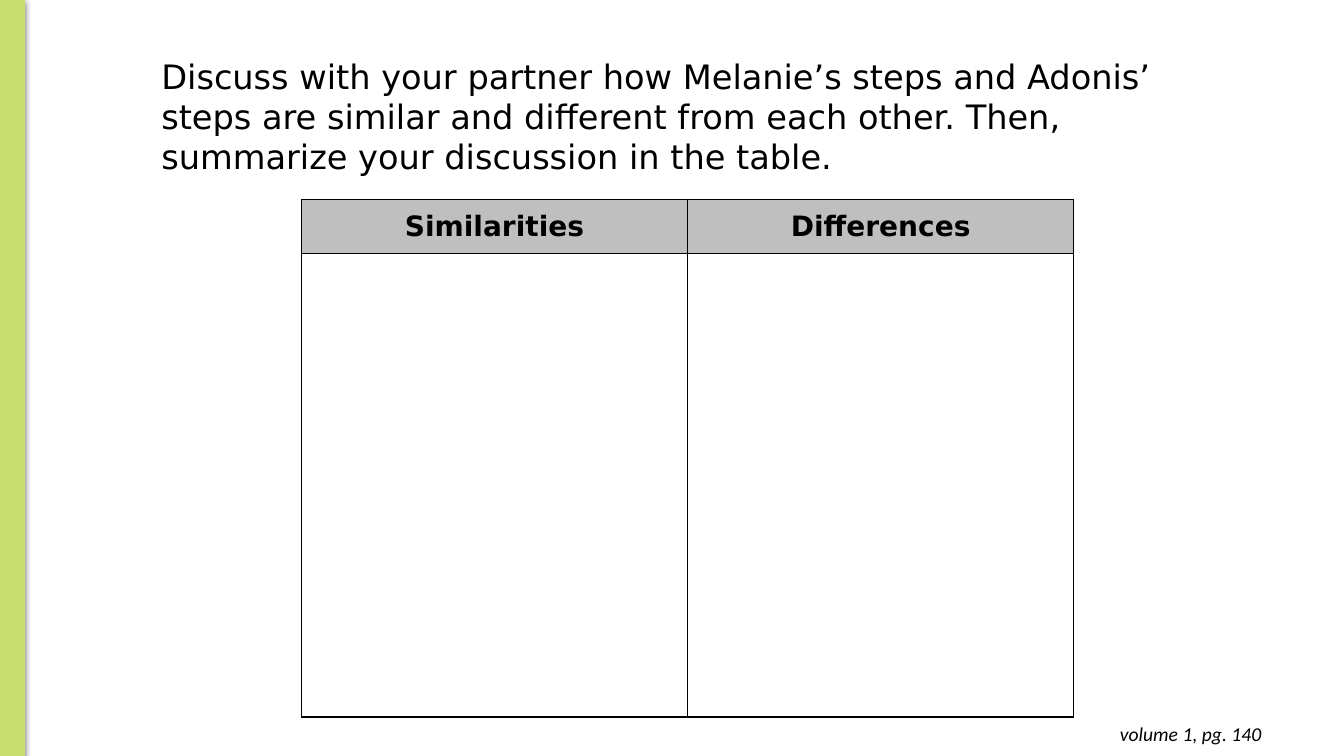
from lxml.etree import SubElement
from pptx import Presentation
from pptx.dml.color import RGBColor
from pptx.enum.shapes import MSO_SHAPE
from pptx.enum.text import MSO_ANCHOR, MSO_AUTO_SIZE, PP_ALIGN
from pptx.oxml.ns import qn
from pptx.util import Inches, Pt

COLORS = {"bar": "C9DF6F", "header": "BFBFBF", "cell": "FFFFFF", "ink": "000000"}
HEADINGS = ["Similarities", "Differences"]
PROMPT = (
    "Discuss with your partner how Melanie’s steps and Adonis’ steps are similar "
    "and different from each other. Then, summarize your discussion in the table."
)


def color(name):
    return RGBColor.from_string(COLORS[name])


def place(shape, left, top, width, height):
    shape.left, shape.top = Inches(left), Inches(top)
    shape.width, shape.height = Inches(width), Inches(height)


def format_paragraph(paragraph, font_name, size, alignment, bold=False, italic=False):
    paragraph.alignment = alignment
    font = paragraph.font
    font.name, font.size = font_name, Pt(size)
    font.bold, font.italic = bold, italic
    font.color.rgb = color("ink")


def set_margins(target, margin):
    target.margin_left = target.margin_right = Inches(margin)
    target.margin_top = target.margin_bottom = Inches(margin)


def add_side_bar(slide):
    bar = slide.shapes.add_shape(
        MSO_SHAPE.RECTANGLE, Inches(0), Inches(0), Inches(0.24), Inches(7.5))
    bar.fill.solid()
    bar.fill.fore_color.rgb = color("bar")
    bar.line.color.rgb = color("bar")
    bar.line.width = Pt(0.75)
    bar.shadow.inherit = False
    effects = bar._element.spPr.find(qn("a:effectLst"))
    shadow = SubElement(effects, qn("a:outerShdw"), blurRad=str(Pt(4.5)),
                        dist=str(Pt(1.5)), dir="5400000", rotWithShape="0")
    shadow_color = SubElement(shadow, qn("a:srgbClr"), val=COLORS["ink"])
    SubElement(shadow_color, qn("a:alpha"), val="50000")


def add_prompt(slide):
    title = slide.shapes.title
    place(title, 1, 0.5, 11.5, 1.31)
    frame = title.text_frame
    frame.text = PROMPT
    frame.word_wrap = True
    frame.auto_size = MSO_AUTO_SIZE.SHAPE_TO_FIT_TEXT
    frame.vertical_anchor = MSO_ANCHOR.TOP
    frame.margin_left = Inches(0.6)
    format_paragraph(frame.paragraphs[0], "DejaVu Sans", 24, PP_ALIGN.LEFT)


def add_page_reference(slide):
    box = slide.shapes.add_textbox(Inches(9.73), Inches(7.06), Inches(2.88), Inches(0.44))
    frame = box.text_frame
    frame.text = "volume 1, pg. 140"
    frame.word_wrap = True
    set_margins(frame, 0.1)
    format_paragraph(frame.paragraphs[0], "Calibri", 14, PP_ALIGN.RIGHT, italic=True)


def add_borders(cell):
    """Draw a thin line on all four sides; borders must come before the fill."""
    properties = cell._tc.get_or_add_tcPr()
    for index, side in enumerate(("a:lnL", "a:lnR", "a:lnT", "a:lnB")):
        line = SubElement(properties, qn(side), w=str(Pt(1)))
        properties.insert(index, line)
        fill = SubElement(line, qn("a:solidFill"))
        SubElement(fill, qn("a:srgbClr"), val=COLORS["ink"])


def add_comparison_table(slide):
    table = slide.shapes.add_table(
        2, len(HEADINGS), Inches(2.99), Inches(1.98), Inches(7.66), Inches(5.13)).table
    table.rows[0].height, table.rows[1].height = Inches(0.53), Inches(4.6)
    for column, heading in enumerate(HEADINGS):
        for row, (text, fill) in enumerate([(heading, "header"), ("", "cell")]):
            cell = table.cell(row, column)
            cell.text = text
            cell.fill.solid()
            cell.fill.fore_color.rgb = color(fill)
            cell.vertical_anchor = MSO_ANCHOR.MIDDLE
            set_margins(cell, 0.1)
            format_paragraph(cell.text_frame.paragraphs[0], "DejaVu Sans", 20,
                             PP_ALIGN.CENTER, bold=True)
            add_borders(cell)


def main():
    presentation = Presentation()
    presentation.slide_width, presentation.slide_height = Inches(13.33), Inches(7.5)
    slide = presentation.slides.add_slide(presentation.slide_layouts[5])
    add_side_bar(slide)
    add_page_reference(slide)
    add_prompt(slide)
    add_comparison_table(slide)
    presentation.save("out.pptx")


if __name__ == "__main__":
    main()
